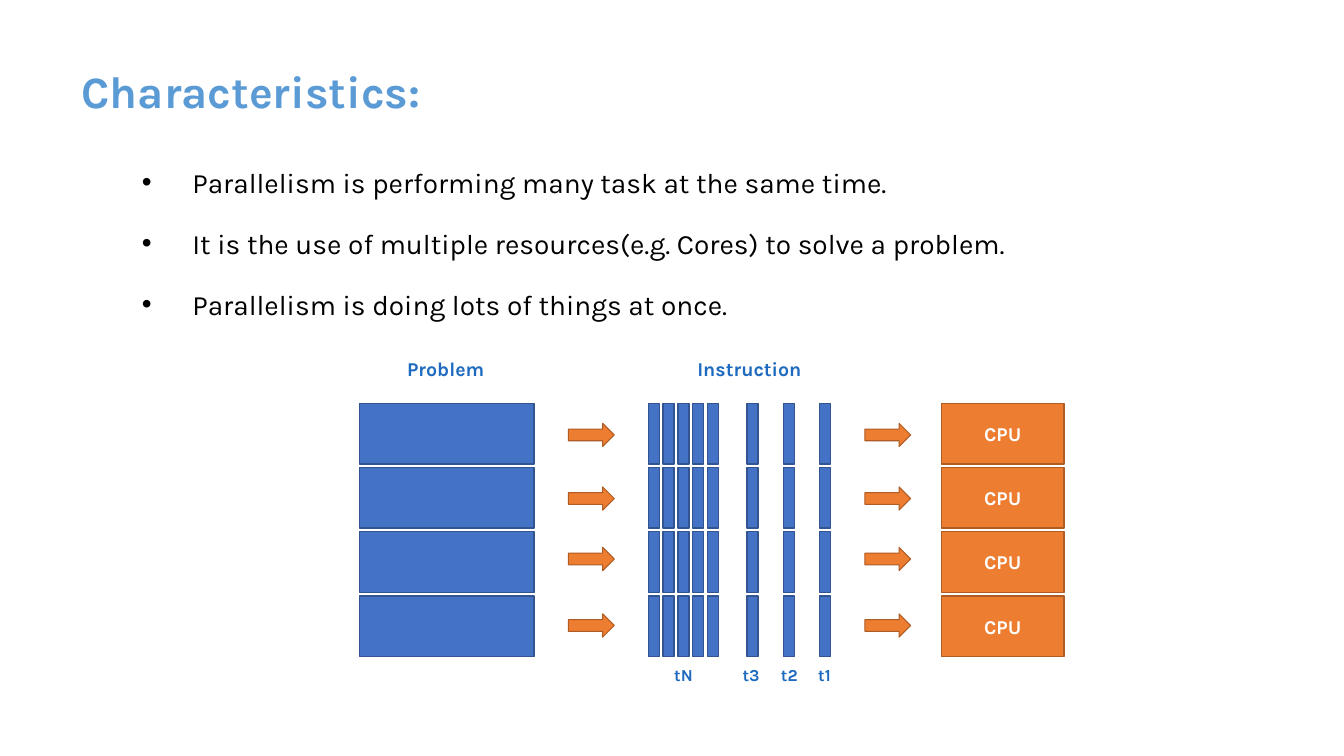
from lxml import etree
from pptx import Presentation
from pptx.dml.color import RGBColor
from pptx.enum import shapes, text
from pptx.oxml import ns
from pptx.util import Pt

FONT = "Karla"
TITLE = "Characteristics:"
POINTS = [
    "Parallelism is performing many task at the same time.",
    "It is the use of multiple resources(e.g. Cores) to solve a problem.",
    "Parallelism is doing lots of things at once.",
]
LABELS = [
    ("Problem", 283.7, 251.3, 74.2, 24.2, 14),
    ("Instruction", 491, 251.3, 89.3, 24.2, 14),
    ("tN", 474.5, 471.6, 30.2, 21.8, 12),
    ("t3", 523.4, 471.6, 26.6, 21.8, 12),
    ("t2", 550.8, 471.6, 26.6, 21.8, 12),
    ("t1", 577.4, 471.6, 26.6, 21.8, 12),
]
BLUE = ("4472C4", "325491")
ORANGE = ("ED7D31", "AF5C24")
TOP, PITCH, HIGH = 288, 45.9, 43.4
BARS = [463 + 10.6 * i for i in range(5)] + [533.5 + 25.95 * i for i in range(3)]
ARROW_X = [406.1, 617.8]
ARROW_Y = [302.4, 347.8, 391, 438.5]


def color(code):
    return RGBColor.from_string(code)


def style(par, size, code, bold=True):
    font = par.font
    font.name, font.size, font.bold = FONT, Pt(size), bold
    font.color.rgb = color(code)


def block(kind, x, y, w, h, pair, line=1):
    shape = slide.shapes.add_shape(kind, Pt(x), Pt(y), Pt(w), Pt(h))
    shape.shadow.inherit = False
    shape.fill.solid()
    shape.fill.fore_color.rgb = color(pair[0])
    shape.line.color.rgb = color(pair[1])
    shape.line.width = Pt(line)
    return shape


def textbox(x, y, w, h, wrap):
    frame = slide.shapes.add_textbox(Pt(x), Pt(y), Pt(w), Pt(h)).text_frame
    frame.word_wrap = wrap
    return frame


def bullet(par):
    props = par._p.get_or_add_pPr()
    props.set("marL", str(Pt(36)))
    props.set("indent", str(Pt(-36)))
    tint = etree.SubElement(props, ns.qn("a:buClr"))
    etree.SubElement(tint, ns.qn("a:srgbClr"), val="000000")
    etree.SubElement(props, ns.qn("a:buFont"), typeface="Arial")
    etree.SubElement(props, ns.qn("a:buChar"), char="•")


deck = Presentation()
deck.slide_width, deck.slide_height = Pt(960), Pt(540)
slide = deck.slides.add_slide(deck.slide_layouts[5])

title = slide.shapes.title
title.left, title.top, title.width, title.height = Pt(51.1), Pt(41.8), Pt(277.9), Pt(46.1)
frame = title.text_frame
frame.text = TITLE
frame.vertical_anchor = text.MSO_ANCHOR.BOTTOM
frame.auto_size = text.MSO_AUTO_SIZE.NONE
head = frame.paragraphs[0]
head.alignment = text.PP_ALIGN.LEFT
head.line_spacing = 0.9
style(head, 32, "5B9BD5")

frame = textbox(94.3, 105.1, 720, 134.6, True)
for i, point in enumerate(POINTS):
    par = frame.add_paragraph() if i else frame.paragraphs[0]
    par.text = point
    par.line_spacing = 1.4
    par.space_before = Pt(10 if i else 0)
    bullet(par)
    style(par, 20, "000000", False)

for label, x, y, w, h, size in LABELS:
    par = textbox(x, y, w, h, False).paragraphs[0]
    par.text = label
    style(par, size, "1E6ABF")

RECT = shapes.MSO_SHAPE.RECTANGLE
for row, tip in enumerate(ARROW_Y):
    y = TOP + PITCH * row
    block(RECT, 257, y, 124.6, HIGH, BLUE)
    for x in BARS:
        block(RECT, x, y, 7.9, HIGH, BLUE)
    cpu = block(RECT, 672.5, y, 87.5, HIGH, ORANGE).text_frame
    cpu.text = "CPU"
    cpu.vertical_anchor = text.MSO_ANCHOR.MIDDLE
    par = cpu.paragraphs[0]
    par.alignment = text.PP_ALIGN.CENTER
    style(par, 14, "FFFFFF")
    for x in ARROW_X:
        block(shapes.MSO_SHAPE.RIGHT_ARROW, x, tip, 32.7, 16.6, ORANGE, 0.75)

deck.save("out.pptx")
